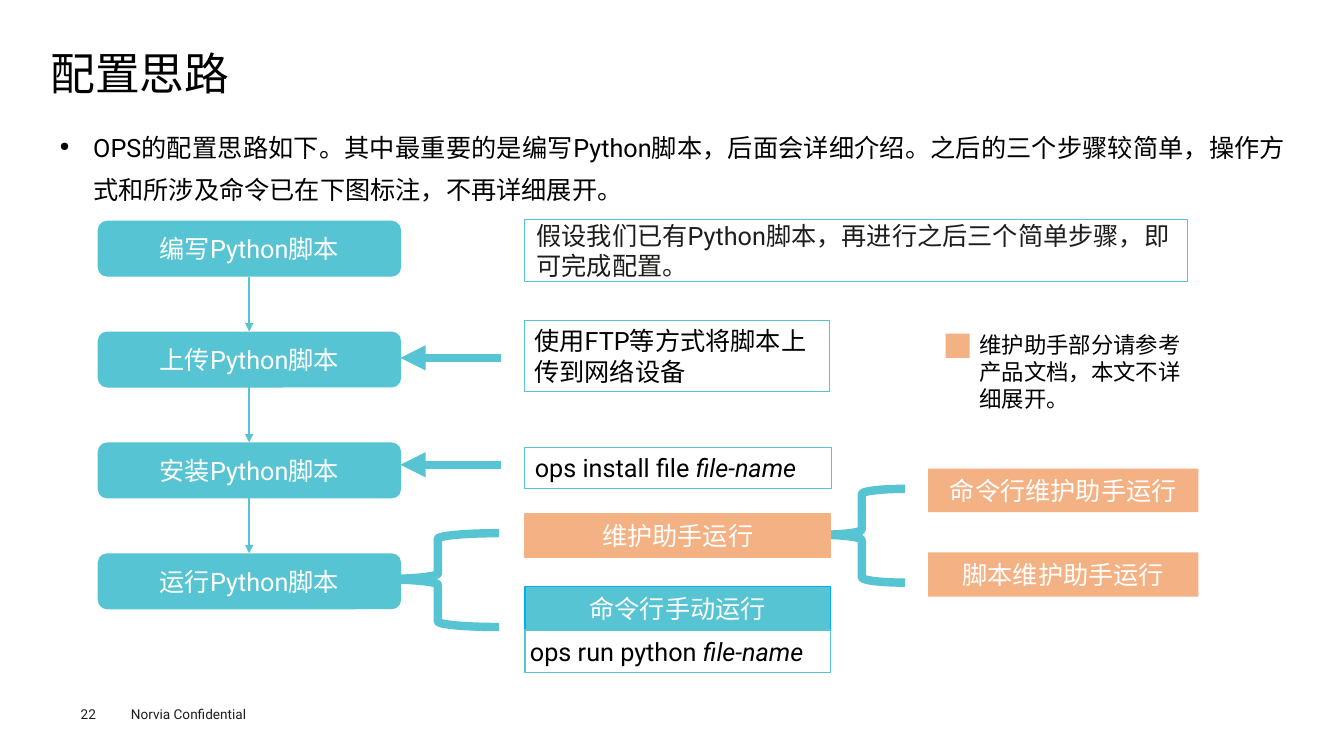
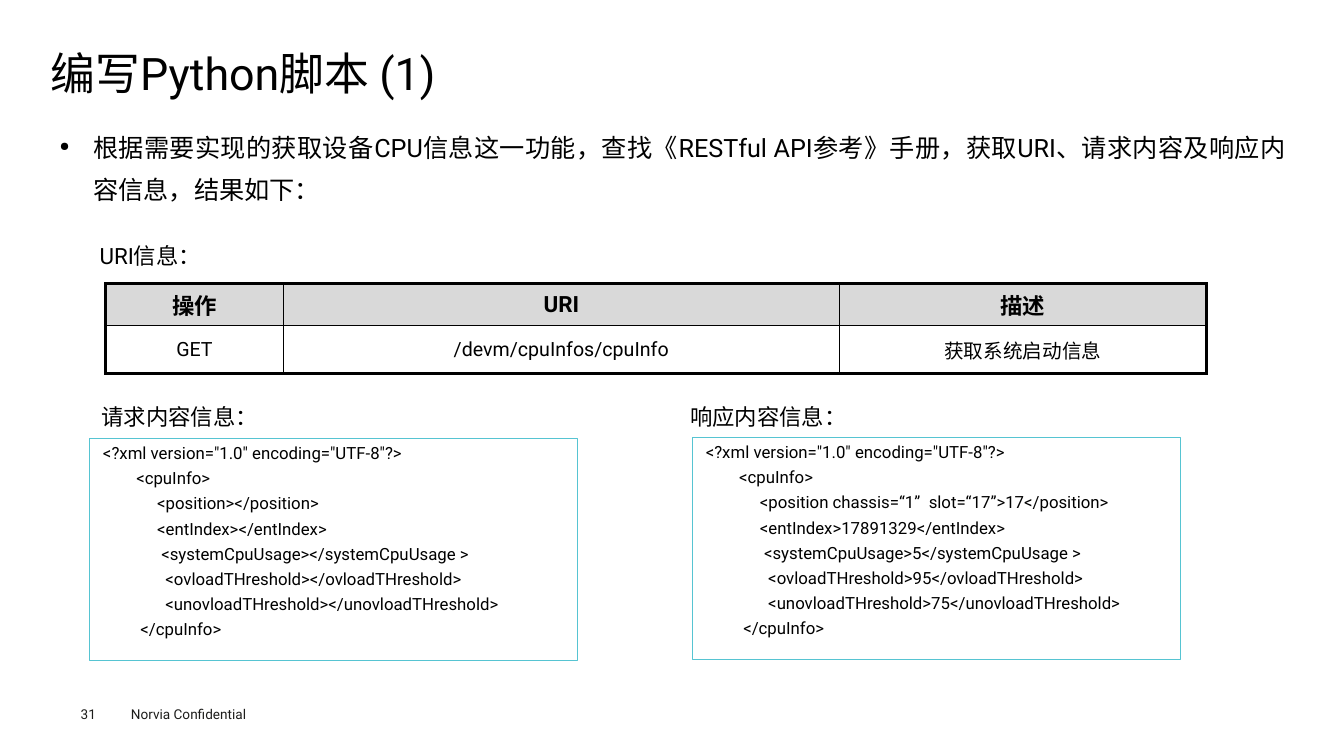
from lxml import etree
from pptx import Presentation
from pptx.dml.color import RGBColor
from pptx.enum import shapes, text
from pptx.oxml import ns
from pptx.util import Pt

TEAL, PEACH, WHITE, BLACK = "56C4D2", "F4B183", "FFFFFF", "000000"
INK, GREY, SKY = "1D1D1B", "D9D9D9", "00B0F0"
FONT = "Roboto"
KIND = shapes.MSO_SHAPE
LEFT, MID = text.PP_ALIGN.LEFT, text.PP_ALIGN.CENTER
TOP, CORE = text.MSO_ANCHOR.TOP, text.MSO_ANCHOR.MIDDLE
rgb = RGBColor.from_string


def box(slide, at, words="", kind=None, fill=None, line=None, wide=1, size=18,
        color=BLACK, align=LEFT, anchor=TOP, pad=(7.2, 3.6, 7.2), gap=0, slant=""):
    """Add a shape, or a text box if no kind is given; slant ends the text in italics."""
    at = [Pt(n) for n in at]
    if kind is None:
        item = slide.shapes.add_textbox(*at)
    else:
        item = slide.shapes.add_shape(kind, *at)
        item.shadow.inherit = False
    if fill:
        item.fill.solid()
        item.fill.fore_color.rgb = rgb(fill)
    else:
        item.fill.background()
    if line:
        item.line.color.rgb = rgb(line)
        item.line.width = Pt(wide)
    else:
        item.line.fill.background()
    if not words:
        return item
    frame = item.text_frame
    frame.word_wrap = True
    frame.vertical_anchor = anchor
    frame.margin_left, frame.margin_top, frame.margin_right = [Pt(n) for n in pad]
    frame.margin_bottom = Pt(pad[1])
    for i, part in enumerate(words.split("\n")):
        para = frame.add_paragraph() if i else frame.paragraphs[0]
        para.add_run().text = part
        para.alignment = align
        if i and gap:
            para.space_before = Pt(gap)
        para.font.name, para.font.size = FONT, Pt(size)
        para.font.color.rgb = rgb(color)
    if slant:
        run = para.add_run()
        run.text = slant
        run.font.italic = True
    return item


def arrow(slide, x1, y1, x2, y2, wide):
    link = slide.shapes.add_connector(
        shapes.MSO_CONNECTOR.STRAIGHT, Pt(x1), Pt(y1), Pt(x2), Pt(y2))
    link.line.color.rgb = rgb(TEAL)
    link.line.width = Pt(wide)
    etree.SubElement(link.line._get_or_add_ln(), ns.qn("a:tailEnd"), type="triangle")
    etree.SubElement(link._element.spPr, ns.qn("a:effectLst"))


deck = Presentation()
deck.slide_width, deck.slide_height = Pt(960), Pt(540)

# Title, lead paragraph and footer of every slide
pages = [
    ("配置思路", "22",
     "OPS的配置思路如下。其中最重要的是编写Python脚本，后面会详细介绍。"
     "之后的三个步骤较简单，操作方式和所涉及命令已在下图标注，不再详细展开。"),
    ("编写Python脚本 (1)", "31",
     "根据需要实现的获取设备CPU信息这一功能，查找《RESTful API参考》手册，"
     "获取URI、请求内容及响应内容信息，结果如下："),
]
made = []
for title, number, lead in pages:
    slide = deck.slides.add_slide(deck.slide_layouts[6])
    made.append(slide)
    box(slide, (86.4, 500.4, 115, 19.4), "Norvia Confidential", size=9.7, color=INK)
    box(slide, (57.6, 504, 39.6, 11.5), number, size=9.7, color=INK, pad=(0, 0, 0))
    head = box(slide, (36, 35.3, 889, 38), title, size=32, anchor=CORE, pad=(0, 0, 0))
    head.text_frame.paragraphs[0].line_spacing = 0.9
    body = box(slide, (36, 82.8, 889, 68), lead, pad=(6.6, 3, 6.6))
    para = body.text_frame.paragraphs[0]
    para.alignment = text.PP_ALIGN.JUSTIFY
    para.line_spacing = 1.4
    props = para._p.get_or_add_pPr()
    props.set("marL", str(Pt(24)))
    props.set("indent", str(Pt(-24)))
    mark = etree.Element(ns.qn("a:buChar"), char="●")
    props.find(ns.qn("a:defRPr")).addprevious(mark)
    mark.addprevious(etree.Element(ns.qn("a:buSzPct"), val="50000"))
plan, code = made

# Slide 1: braces lie behind the boxes
for at in [(584.6, 349.2, 62, 67), (269.3, 380.9, 87, 67)]:
    brace = box(plan, at, kind=KIND.LEFT_BRACE, line=TEAL, wide=6)
    brace.adjustments[0], brace.adjustments[1] = 0.06, 0.49

# Four steps, joined by arrows
step, high = 79.2, 40
for i, verb in enumerate(["编写", "上传", "安装", "运行"]):
    top = 157.6 + i * step
    box(plan, (69.8, top, 216.7, high), verb + "Python脚本", KIND.ROUNDED_RECTANGLE,
        TEAL, color=WHITE, align=MID, anchor=CORE)
    if i:
        arrow(plan, 178, top - step + high, 178, top, 1.5)

# Ways to run the script
for at, words, fill, line in [
    ((375, 367.2, 218.2, 31), "维护助手运行", PEACH, PEACH),
    ((375, 419, 218.2, 31), "命令行手动运行", TEAL, SKY),
    ((663, 334.8, 193, 31), "命令行维护助手运行", PEACH, None),
    ((663, 394.6, 193, 31.7), "脚本维护助手运行", PEACH, None),
]:
    box(plan, at, words, KIND.RECTANGLE, fill, line, color=WHITE, align=MID, anchor=CORE)

# Notes and commands
box(plan, (374.6, 157, 473.8, 44), "假设我们已有Python脚本，再进行之后三个简单步骤，即可完成配置。",
    KIND.RECTANGLE, line=TEAL, color=INK, anchor=CORE, pad=(8.6, 0, 0))
box(plan, (374.6, 229, 218.2, 51), "使用FTP等方式将脚本上传到网络设备",
    KIND.RECTANGLE, line=TEAL, wide=0.75)
box(plan, (375, 319.7, 218.9, 29), "ops install file ", KIND.RECTANGLE,
    line=TEAL, wide=0.75, slant="file-name")
box(plan, (375, 450, 218.2, 30.2), "ops run python ", KIND.RECTANGLE,
    line=TEAL, anchor=CORE, pad=(3.6, 3.6, 3.6), slant="file-name")
for y in (255.6, 332):
    arrow(plan, 357.8, y, 286, y, 6)

# Legend
box(plan, (675.4, 238.3, 17.3, 17.3), kind=KIND.RECTANGLE, fill=PEACH)
box(plan, (692.6, 233.3, 170, 65.5), "维护助手部分请参考产品文档，本文不详细展开。", size=16)

# Slide 2: labels
for x, y, label in [(64, 169.2, "URI信息："), (65.5, 284.4, "请求内容信息："),
                    (486, 284.4, "响应内容信息：")]:
    box(code, (x, y, 146, 26.6), label, size=16)

# URI table
rows = [["操作", "URI", "描述"], ["GET", "/devm/cpuInfos/cpuInfo", "获取系统启动信息"]]
table = code.shapes.add_table(2, 3, Pt(75.6), Pt(202.6), Pt(786.2), Pt(64)).table
for col, wide in zip(table.columns, (126.7, 397.4, 262.1)):
    col.width = Pt(wide)
for row, high in zip(table.rows, (30.2, 33.8)):
    row.height = Pt(high)
for r, row in enumerate(rows):
    for c, words in enumerate(row):
        cell = table.cell(r, c)
        props = cell._tc.get_or_add_tcPr()
        for side, edge in [("L", c == 0), ("R", c == 2), ("T", r == 0), ("B", r == 1)]:
            rule = etree.SubElement(props, ns.qn("a:ln" + side),
                                    w=str(Pt(2.25 if edge else 1)))
            paint = etree.SubElement(rule, ns.qn("a:solidFill"))
            etree.SubElement(paint, ns.qn("a:srgbClr"), val=BLACK)
        if r:
            cell.fill.background()
        else:
            cell.fill.solid()
            cell.fill.fore_color.rgb = rgb(GREY)
        cell.text = words
        cell.vertical_anchor = CORE
        para = cell.text_frame.paragraphs[0]
        para.alignment = MID
        para.font.name, para.font.size = FONT, Pt(14 if r else 16)
        para.font.bold = r == 0
        para.font.color.rgb = rgb(BLACK)

# Request and response
form = """ <?xml version="1.0" encoding="UTF-8"?>
         <cpuInfo>
              <position{}>{}</position>
              <entIndex>{}</entIndex>
               <systemCpuUsage>{}</systemCpuUsage >
                <ovloadTHreshold>{}</ovloadTHreshold>
                <unovloadTHreshold>{}</unovloadTHreshold>
          </cpuInfo>"""
reply = (" chassis=“1”  slot=“17”", "17", "17891329", "5", "95", "75")
for x, y, values in [(64, 313.2, [""] * 6), (494.6, 312.5, reply)]:
    box(code, (x, y, 348.5, 158.6), form.format(*values), KIND.RECTANGLE, line=TEAL,
        wide=0.75, size=12, pad=(6.6, 3, 6.6), gap=3.6)

deck.save("out.pptx")
